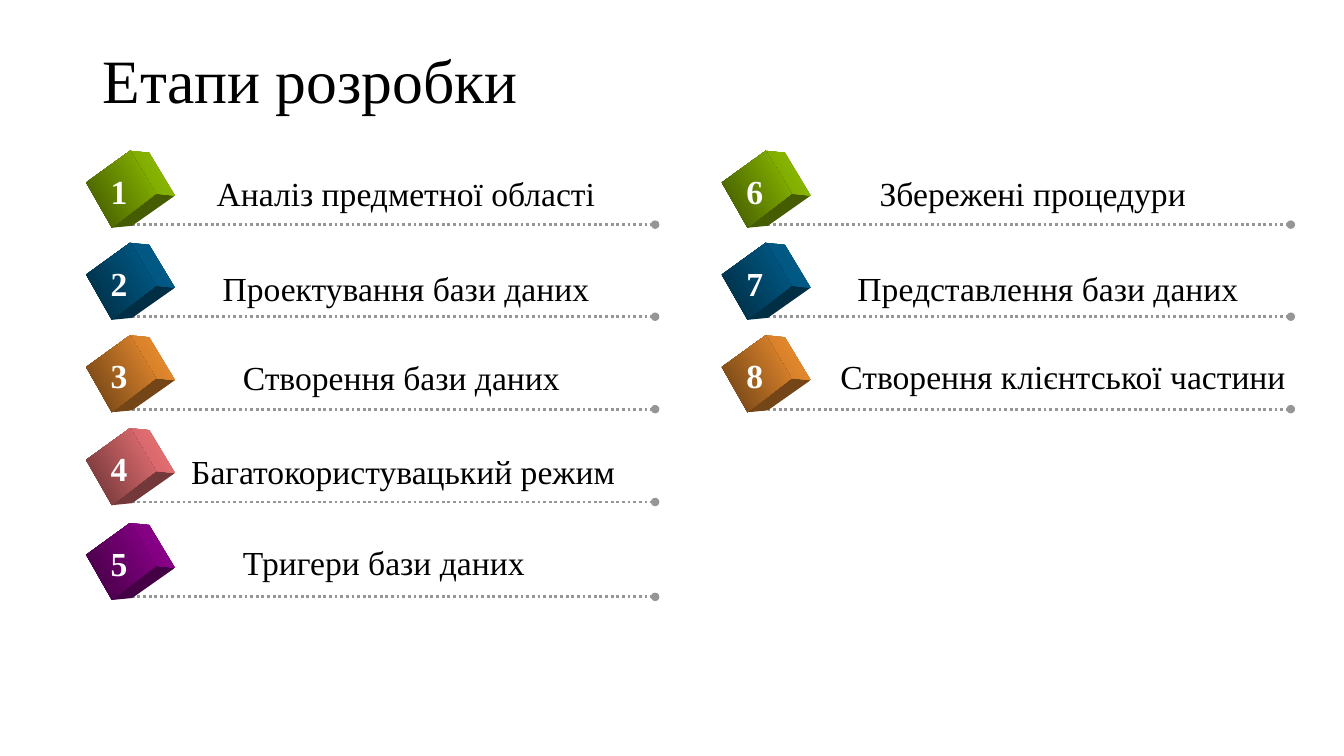
import pptx
import pptx.dml.color
import pptx.enum.dml
import pptx.enum.shapes
import pptx.enum.text
import pptx.util
from lxml import etree
from pptx.dml.color import RGBColor
from pptx.util import Cm

BLACK = RGBColor(0, 0, 0)
WHITE = RGBColor(255, 255, 255)
GRAY = RGBColor(0x96, 0x96, 0x96)
GREEN = RGBColor(0x99, 0xCC, 0x00)
BLUE = RGBColor(0x00, 0x66, 0x99)
ORANGE = RGBColor(0xFF, 0x99, 0x33)
PINK = RGBColor(0xFF, 0x7C, 0x80)
PURPLE = RGBColor(0x99, 0x00, 0x99)
FONT = "Times New Roman"

COLORS = [GREEN, BLUE, ORANGE, PINK, PURPLE]
ROW_Y = [5.66, 7.98, 10.31, 12.65, 15.04]
COLUMN_X = [3.18, 19.2]
LINE_LENGTH = 13.33
ROWS_PER_COLUMN = 5
STAGES = [
    ("Аналіз предметної області", 5.21, 4.24, 10.08),
    ("Проектування бази даних", 5.36, 6.63, 9.88),
    ("Створення бази даних", 5.87, 8.86, 8.61),
    ("Багатокористувацький режим", 4.57, 11.23, 11.35),
    ("Тригери бази даних", 5.87, 13.54, 7.65),
    ("Збережені процедури", 21.92, 4.22, 8.51),
    ("Представлення бази даних", 21.36, 6.63, 10.31),
    ("Створення клієнтської частини", 20.93, 8.84, 11.84),
]

FRONT = [(-0.88, -0.18), (0.23, -0.98), (0.88, 0.1), (-0.23, 0.96)]
SIDE = [(0.23, -0.98), (0.71, -0.93), (1.36, 0.15), (0.88, 0.1)]
BOTTOM = [(-0.23, 0.96), (0.88, 0.1), (1.36, 0.15), (0.28, 0.91)]
FACES = [(BOTTOM, 0.45, 0.45), (SIDE, 0.8, 0.93), (FRONT, 0.4, 0.93)]


def shade(color, factor):
    return RGBColor(*(round(c * factor) for c in color))


def add_text(text, left, top, width, height, size, color, bold=False):
    sp = slide.shapes.add_textbox(Cm(left), Cm(top), Cm(width), Cm(height))
    tf = sp.text_frame
    tf.word_wrap = False
    tf.text = text
    font = tf.paragraphs[0].runs[0].font
    font.name = FONT
    font.size = pptx.util.Pt(size)
    font.bold = bold
    font.color.rgb = color
    return tf


prs = pptx.Presentation()
prs.slide_width = Cm(33.87)
prs.slide_height = Cm(19.05)
slide = prs.slides.add_slide(prs.slide_layouts[6])

tf = add_text("Етапи розробки", 2.34, 1.02, 29.21, 2.16, 44, BLACK)
tf.word_wrap = True
tf.vertical_anchor = pptx.enum.text.MSO_ANCHOR.MIDDLE
tf.paragraphs[0].line_spacing = 0.9

for i, (label, left, top, width) in enumerate(STAGES):
    column, row = divmod(i, ROWS_PER_COLUMN)
    x, y = COLUMN_X[column], ROW_Y[row]

    line = slide.shapes.add_connector(
        pptx.enum.shapes.MSO_CONNECTOR.STRAIGHT,
        Cm(x), Cm(y), Cm(x + LINE_LENGTH), Cm(y),
    )
    line.line.color.rgb = GRAY
    line.line.width = pptx.util.Pt(2)
    line.line.dash_style = pptx.enum.dml.MSO_LINE.ROUND_DOT
    ln = line.line._get_or_add_ln()
    etree.SubElement(ln, pptx.oxml.ns.qn("a:tailEnd"), type="oval")
    etree.SubElement(line._element.spPr, pptx.oxml.ns.qn("a:effectLst"))

    cx, cy = x - 0.13, y - 0.88
    for face, dark, light in FACES:
        points = [(Cm(cx + dx), Cm(cy + dy)) for dx, dy in face]
        builder = slide.shapes.build_freeform(*points[0])
        builder.add_line_segments(points[1:], close=True)
        sp = builder.convert_to_shape()
        sp.shadow.inherit = False
        sp.line.fill.background()
        sp.fill.gradient()
        sp.fill.gradient_angle = 30
        for stop, factor in zip(sp.fill.gradient_stops, (dark, light)):
            stop.color.rgb = shade(COLORS[row], factor)

    add_text(label, left, top, width, 1.3, 24, BLACK)
    add_text(str(i + 1), x - 0.64, y - 1.49, 0.94, 1.3, 24, WHITE, True)

prs.save("out.pptx")
